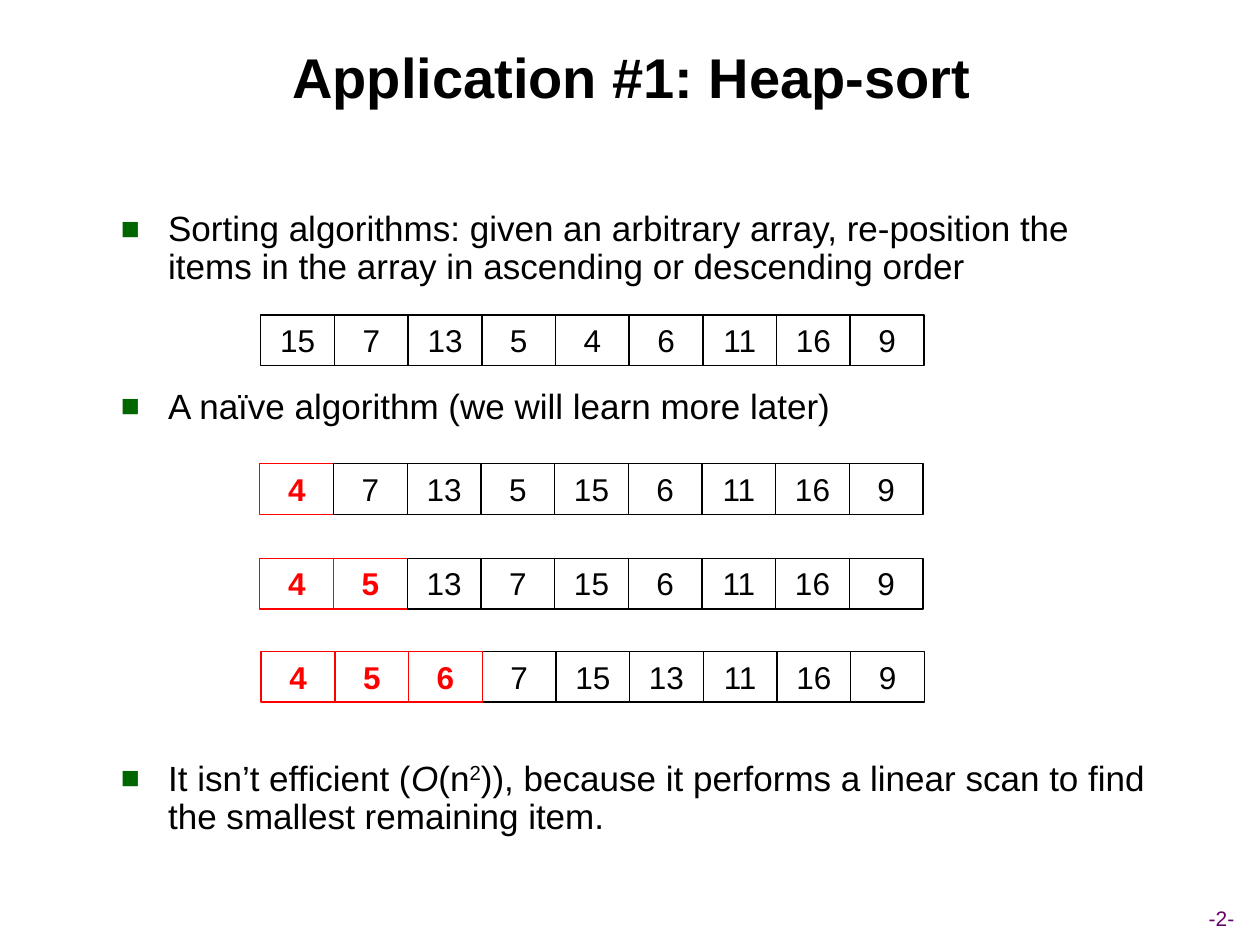
from lxml.etree import SubElement
from pptx import Presentation
from pptx.dml.color import RGBColor
from pptx.enum.shapes import MSO_SHAPE as Shape
from pptx.enum.text import MSO_ANCHOR as Anchor, PP_ALIGN as Align
from pptx.oxml.ns import qn
from pptx.util import Pt

COLORS = {"ink": "000000", "sorted": "FF0000", "bullet": "006600", "page": "660066"}
FONT = "Arial"
CELL_WIDTH, CELL_HEIGHT, CELL_PITCH = 42.25, 29, 42.1
STACKING = (4, 5, 6, 8, 0, 3, 1, 7, 2)

ARRAYS = [
    (149, 180, 0, (15, 7, 13, 5, 4, 6, 11, 16, 9)),
    (148.5, 265, 1, (4, 7, 13, 5, 15, 6, 11, 16, 9)),
    (148.5, 319, 2, (4, 5, 13, 7, 15, 6, 11, 16, 9)),
    (149.25, 372.25, 3, (4, 5, 6, 7, 15, 13, 11, 16, 9)),
]
POINTS = [
    (0, [("Sorting algorithms: given an arbitrary array, re-position the "
          "items in the array in ascending or descending order", {})]),
    (58.3, [("A naïve algorithm (we will learn more later)", {})]),
    (191, [("It isn’t efficient (", {}), ("O", {"italic": True}), ("(n", {}),
           ("2", {"raised": True}),
           (")), because it performs a linear scan to find the smallest "
            "remaining item.", {})]),
]


def write(paragraph, text, size=20, color="ink", bold=False, italic=False,
          raised=False, align=Align.LEFT):
    paragraph.alignment = align
    run = paragraph.add_run()
    run.text = text
    run.font.name = FONT
    run.font.size = Pt(size)
    run.font.bold = bold
    run.font.italic = italic
    run.font.color.rgb = RGBColor.from_string(COLORS[color])
    if raised:
        run._r.get_or_add_rPr().set("baseline", "30000")


def add_frame(slide, left, top, width, height, anchor=Anchor.TOP, wrap=True):
    box = slide.shapes.add_textbox(Pt(left), Pt(top), Pt(width), Pt(height))
    frame = box.text_frame
    frame.word_wrap = wrap
    frame.vertical_anchor = anchor
    return frame


def add_bullet(paragraph, indent=27):
    properties = paragraph._p.get_or_add_pPr()
    properties.set("marL", str(Pt(indent)))
    properties.set("indent", str(-Pt(indent)))
    color = SubElement(properties, qn("a:buClr"))
    SubElement(color, qn("a:srgbClr"), val=COLORS["bullet"])
    SubElement(properties, qn("a:buSzPct"), val="90000")
    SubElement(properties, qn("a:buFont"), typeface=FONT)
    SubElement(properties, qn("a:buChar"), char="■")


def add_points(slide):
    frame = add_frame(slide, 62, 117.25, 603.5, 378)
    for index, (gap, pieces) in enumerate(POINTS):
        point = frame.add_paragraph() if index else frame.paragraphs[0]
        add_bullet(point)
        point.line_spacing = 0.9
        point.space_before = Pt(gap)
        for text, style in pieces:
            write(point, text, **style)


def add_cell(slide, left, top, value, color):
    cell = slide.shapes.add_shape(
        Shape.RECTANGLE, Pt(left), Pt(top), Pt(CELL_WIDTH), Pt(CELL_HEIGHT))
    cell.shadow.inherit = False
    cell.fill.background()
    cell.line.color.rgb = RGBColor.from_string(COLORS[color])
    cell.line.width = Pt(0.75)
    cell.text_frame.word_wrap = True
    cell.text_frame.vertical_anchor = Anchor.TOP
    write(cell.text_frame.paragraphs[0], str(value), size=18, color=color,
          bold=color == "sorted", align=Align.CENTER)


def add_array(slide, left, top, sorted_count, values):
    for index in STACKING:
        color = "sorted" if index < sorted_count else "ink"
        add_cell(slide, left + index * CELL_PITCH, top, values[index], color)


def main():
    deck = Presentation()
    deck.slide_width, deck.slide_height = Pt(720), Pt(540)
    slide = deck.slides.add_slide(deck.slide_layouts[6])

    page = add_frame(slide, 659.5, 514, 77, 21.6, anchor=Anchor.MIDDLE, wrap=False)
    write(page.paragraphs[0], "-2-", size=12, color="page", align=Align.CENTER)
    title = add_frame(slide, 27.4, 9.4, 667.4, 68.4, anchor=Anchor.MIDDLE)
    write(title.paragraphs[0], "Application #1: Heap-sort", size=32, bold=True,
          align=Align.CENTER)
    add_points(slide)
    for array in ARRAYS:
        add_array(slide, *array)

    deck.save("out.pptx")


if __name__ == "__main__":
    main()
